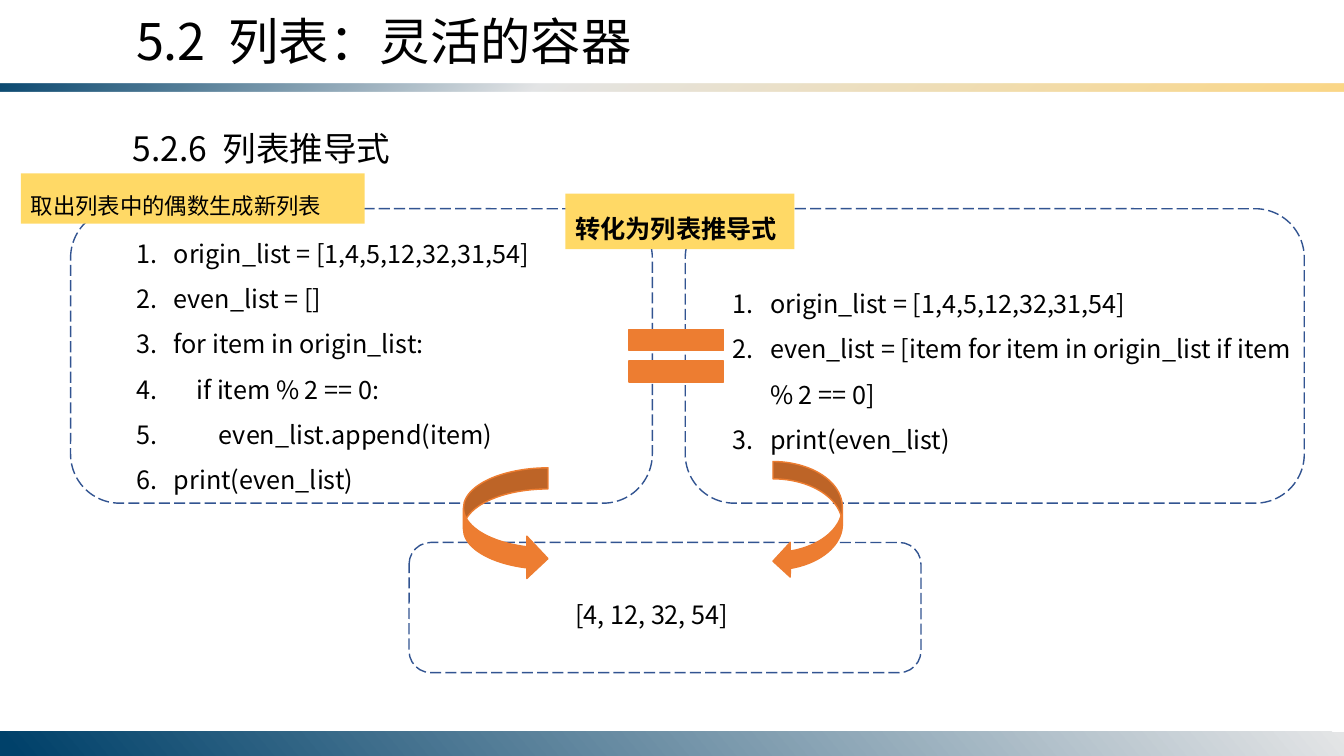
from dataclasses import dataclass

from lxml.etree import SubElement
from pptx import Presentation
from pptx.dml.color import RGBColor
from pptx.enum.dml import MSO_LINE_DASH_STYLE as Dash
from pptx.enum.shapes import MSO_SHAPE as Shape
from pptx.oxml import parse_xml
from pptx.oxml.ns import nsdecls, qn
from pptx.util import Cm, Pt


@dataclass(frozen=True)
class Theme:
    font: str = "Noto Sans CJK SC"
    text: str = "000000"
    outline: str = "325491"
    label: str = "FFD966"
    accent: str = "ED7D31"
    navy: str = "00416A"
    mist: str = "E4E5E6"
    sand: str = "FBD786"
    title: int = 36
    heading: int = 24
    body: int = 18
    small: int = 16


THEME = Theme()
SLIDE_SIZE = (33.87, 19.05)
CODE_INDENT = Cm(0.95)

LOOP_CODE = [
    "origin_list = [1,4,5,12,32,31,54]",
    "even_list = []",
    "for item in origin_list:",
    "    if item % 2 == 0:",
    "        even_list.append(item)",
    "print(even_list)",
]
COMPREHENSION_CODE = [
    "origin_list = [1,4,5,12,32,31,54]",
    "even_list = [item for item in origin_list if item % 2 == 0]",
    "print(even_list)",
]


def color(value):
    return RGBColor.from_string(value)


def lengths(frame):
    return [Cm(value) for value in frame]


def number_paragraph(para):
    """Give the paragraph a hanging automatic number."""
    properties = para._p.get_or_add_pPr()
    properties.set("marL", str(CODE_INDENT))
    properties.set("indent", str(-CODE_INDENT))
    SubElement(properties, qn("a:buFont"), typeface="+mj-lt")
    SubElement(properties, qn("a:buAutoNum"), type="arabicPeriod")


def style_font(font, size, bold):
    font.name = THEME.font
    font.size = Pt(size)
    font.bold = bold
    font.color.rgb = color(THEME.text)
    SubElement(font._element, qn("a:ea"), typeface=THEME.font)


def add_text(page, frame, lines, size, spacing=1.5, numbered=False, bold=False):
    box = page.shapes.add_textbox(*lengths(frame))
    text = box.text_frame
    text.word_wrap = True
    text.text = "\n".join(lines)
    for para in text.paragraphs:
        para.line_spacing = spacing
        if numbered:
            number_paragraph(para)
        style_font(para.font, size, bold)
    return box


def add_label(page, frame, line, size, bold=False):
    label = add_text(page, frame, [line], size, bold=bold)
    label.fill.solid()
    label.fill.fore_color.rgb = color(THEME.label)


def add_plain_shape(page, kind, frame):
    shape = page.shapes.add_shape(kind, *lengths(frame))
    shape.shadow.inherit = False
    return shape


def add_panel(page, frame):
    panel = add_plain_shape(page, Shape.ROUNDED_RECTANGLE, frame)
    panel.fill.background()
    panel.line.color.rgb = color(THEME.outline)
    panel.line.width = Pt(1)
    panel.line.dash_style = Dash.LONG_DASH


def add_symbol(page, kind, frame):
    symbol = add_plain_shape(page, kind, frame)
    symbol.fill.solid()
    symbol.fill.fore_color.rgb = color(THEME.accent)
    symbol.line.color.rgb = color(THEME.accent)
    symbol.line.width = Pt(1)


def add_gradient_bar(page, frame, stops, angle):
    """Stops are (position %, colour, opacity %)."""
    bar = add_plain_shape(page, Shape.RECTANGLE, frame)
    bar.line.fill.background()
    marks = "".join(
        f'<a:gs pos="{position * 1000}"><a:srgbClr val="{value}">'
        f'<a:alpha val="{opacity * 1000}"/></a:srgbClr></a:gs>'
        for position, value, opacity in stops
    )
    gradient = parse_xml(
        f'<a:gradFill {nsdecls("a")} rotWithShape="1"><a:gsLst>{marks}</a:gsLst>'
        f'<a:lin ang="{angle * 60000}" scaled="0"/></a:gradFill>'
    )
    bar._element.spPr.find(qn("a:prstGeom")).addnext(gradient)


def main():
    deck = Presentation()
    deck.slide_width, deck.slide_height = lengths(SLIDE_SIZE)
    page = deck.slides.add_slide(deck.slide_layouts[6])
    width = SLIDE_SIZE[0]

    add_gradient_bar(
        page, (0, 2.11, width, 0.2),
        [(0, THEME.navy, 95), (40, THEME.mist, 100), (100, THEME.sand, 100)], 50)
    add_gradient_bar(
        page, (0, 18.44, width, 0.61),
        [(0, THEME.mist, 100), (99, THEME.navy, 100)], 140)

    add_text(page, (3.18, 0.13, 15.54, 1.8), ["5.2  列表：灵活的容器"], THEME.title, 1)
    add_text(page, (3.1, 3.1, 20.96, 1.27), ["5.2.6  列表推导式"], THEME.heading, 1)

    add_panel(page, (1.78, 5.26, 14.66, 7.42))
    add_panel(page, (17.27, 5.26, 15.6, 7.42))
    add_panel(page, (10.31, 13.67, 12.9, 3.28))

    add_text(page, (3.18, 5.49, 11.86, 7.19), LOOP_CODE, THEME.body, numbered=True)
    add_text(page, (18.21, 6.76, 14.66, 4.88), COMPREHENSION_CODE, THEME.body,
             numbered=True)
    add_text(page, (14.25, 14.6, 5.03, 1.4), ["[4, 12, 32, 54]"], THEME.body)

    add_label(page, (0.53, 4.37, 8.66, 1.27), "取出列表中的偶数生成新列表", THEME.small)
    add_symbol(page, Shape.MATH_EQUAL, (15.42, 7.85, 3.25, 2.24))
    add_label(page, (14.25, 4.88, 5.77, 1.4), "转化为列表推导式", THEME.body, bold=True)
    add_symbol(page, Shape.CURVED_RIGHT_ARROW, (11.68, 11.79, 2.13, 2.82))
    add_symbol(page, Shape.CURVED_LEFT_ARROW, (19.48, 11.63, 1.75, 2.95))

    deck.save("out.pptx")


if __name__ == "__main__":
    main()
